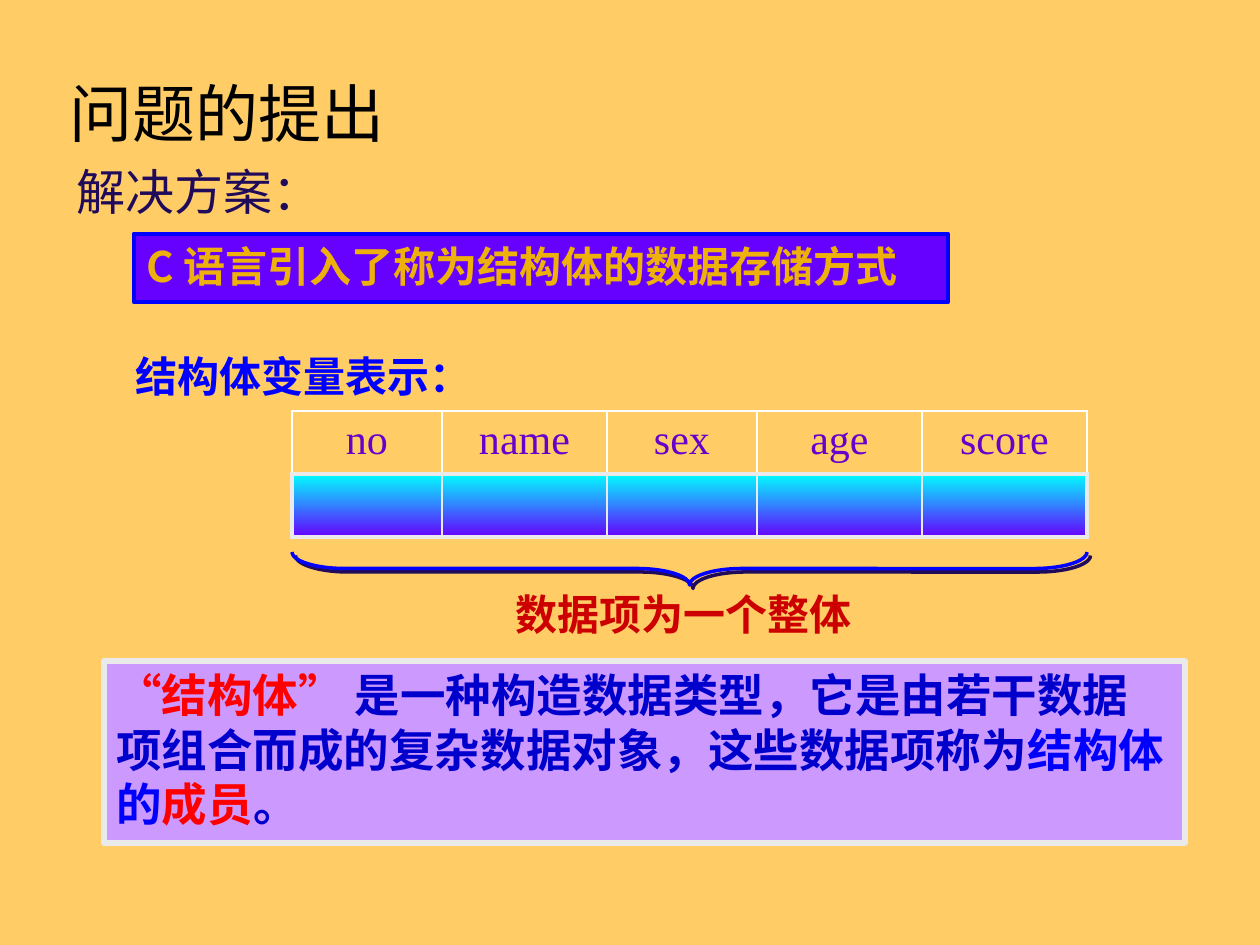
from typing import NamedTuple

from lxml.etree import SubElement
from pptx import Presentation
from pptx.dml.color import RGBColor
from pptx.enum.lang import MSO_LANGUAGE_ID as Lang
from pptx.enum.shapes import MSO_SHAPE as Shape
from pptx.enum.text import MSO_ANCHOR as Anchor, PP_ALIGN as Align
from pptx.oxml import parse_xml
from pptx.oxml.ns import nsdecls, qn
from pptx.util import Emu, Pt

EMU_PER_PX = 914400 / 126
CJK = "Noto Sans CJK SC"
SERIF = "Times New Roman"
SANS = "Arial"
BORDER = "EAEAEA"
OUTER, INNER = 2.25, 1


class Run(NamedTuple):
    text: str
    size: int
    color: str
    font: str = CJK
    bold: bool = False


class Box(NamedTuple):
    x: int
    y: int
    w: int
    h: int
    runs: list[Run]
    fill: str = ""
    line: str = ""
    line_pt: float = 0
    anchor: Anchor = Anchor.TOP
    align: Align = Align.LEFT


class Field(NamedTuple):
    name: str
    width: int


def px(n: int) -> Emu:
    return Emu(round(n * EMU_PER_PX))


def rgb(color: str) -> RGBColor:
    return RGBColor.from_string(color)


def add_run(p, run: Run) -> None:
    r = p.add_run()
    r.text = run.text
    r.font.size = Pt(run.size)
    r.font.bold = run.bold
    r.font.color.rgb = rgb(run.color)
    r.font.name = run.font
    r.font.language_id = Lang.SIMPLIFIED_CHINESE
    SubElement(r.font._element, qn("a:ea"), typeface=CJK)


def add_box(s, box: Box) -> None:
    place = [px(n) for n in box[:4]]
    if box.fill:
        sp = s.shapes.add_shape(Shape.RECTANGLE, *place)
        sp.shadow.inherit = False
        sp.fill.solid()
        sp.fill.fore_color.rgb = rgb(box.fill)
        sp.line.color.rgb = rgb(box.line)
        sp.line.width = Pt(box.line_pt)
    else:
        sp = s.shapes.add_textbox(*place)
    tf = sp.text_frame
    tf.word_wrap = True
    tf.vertical_anchor = box.anchor
    p = tf.paragraphs[0]
    p.alignment = box.align
    for run in box.runs:
        add_run(p, run)


def add_border(cell, side: str, width: float) -> None:
    cell._tc.get_or_add_tcPr().append(parse_xml(
        f'<a:{side} {nsdecls("a")} w="{Pt(width)}"><a:solidFill>'
        f'<a:srgbClr val="{BORDER}"/></a:solidFill></a:{side}>'))


def add_record(s, x: int, y: int, row_h: int, fields: list[Field]) -> None:
    width = sum(f.width for f in fields)
    frame = s.shapes.add_table(2, len(fields), px(x), px(y), px(width), px(2 * row_h))
    table = frame.table
    table.first_row = table.horz_banding = False
    for row in table.rows:
        row.height = px(row_h)
    last = len(fields) - 1
    for i, field in enumerate(fields):
        table.columns[i].width = px(field.width)
        head, slot = table.cell(0, i), table.cell(1, i)
        p = head.text_frame.paragraphs[0]
        p.alignment = Align.CENTER
        add_run(p, Run(field.name, 24, "6600CC", SERIF))
        add_border(head, "lnB", OUTER)
        head.fill.background()
        add_border(slot, "lnL", INNER if i else OUTER)
        add_border(slot, "lnR", INNER if i < last else OUTER)
        add_border(slot, "lnT", OUTER)
        add_border(slot, "lnB", OUTER)
        slot.fill.gradient()
        slot.fill.gradient_angle = 270
        for stop, color, pos in zip(slot.fill.gradient_stops, ("00FFFF", "6600FF"), (0, 1)):
            stop.color.rgb = rgb(color)
            stop.position = pos


def add_brace(s, x: int, y: int, w: int, h: int) -> None:
    left, top = x + (w - h) // 2, y + (h - w) // 2
    sp = s.shapes.add_shape(Shape.RIGHT_BRACE, px(left), px(top), px(h), px(w))
    sp.rotation = 90
    sp.adjustments[0] = 1.6
    sp.adjustments[1] = 0.5
    sp.fill.background()
    sp.line.color.rgb = rgb("0000FF")
    sp.line.width = Pt(2)
    sp._element.spPr.append(parse_xml(
        f'<a:effectLst {nsdecls("a")}><a:outerShdw dist="{Pt(2.8)}" dir="2700000" '
        'algn="ctr" rotWithShape="0"><a:srgbClr val="200B5B"/></a:outerShdw></a:effectLst>'))


FIELDS = [Field("no", 150), Field("name", 165), Field("sex", 150),
          Field("age", 165), Field("score", 165)]

BOXES = [
    Box(57, 67, 1134, 91, [Run("问题的提出", 36, "000000")], anchor=Anchor.MIDDLE),
    Box(64, 155, 1018, 84, [Run("解决方案：", 28, "200B5B", SERIF)]),
    Box(134, 234, 814, 68,
        [Run("C 语言引入了称为结构体的数据存储方式", 24, "EEB00B", bold=True)],
        "6600FF", "0000FF", 2.75, align=Align.JUSTIFY),
    Box(104, 661, 1081, 182, [
        Run("“", 26, "FF0000", SANS, True),
        Run("结构体", 26, "FF0000", bold=True),
        Run("” ", 26, "FF0000", SANS, True),
        Run("是一种构造数据类型，它是由若干数据项组合而成的复杂数据对象，这些数据项称为",
            26, "0000CC", bold=True),
        Run("结构体的", 26, "0000FF", bold=True),
        Run("成员", 26, "FF0000", bold=True),
        Run("。", 26, "0000CC", bold=True),
    ], "CC99FF", BORDER, 3),
    Box(123, 344, 384, 63, [Run("结构体变量表示：", 24, "0000FF", bold=True)],
        anchor=Anchor.MIDDLE),
    Box(503, 582, 433, 63, [Run("数据项为一个整体", 24, "CC0000", SERIF, True)]),
]


def main() -> None:
    prs = Presentation()
    prs.slide_width, prs.slide_height = px(1260), px(945)
    s = prs.slides.add_slide(prs.slide_layouts[6])
    s.background.fill.solid()
    s.background.fill.fore_color.rgb = rgb("FFCC66")
    for box in BOXES:
        add_box(s, box)
    add_record(s, 292, 411, 63, FIELDS)
    add_brace(s, 292, 552, 795, 33)
    prs.save("out.pptx")


if __name__ == "__main__":
    main()
